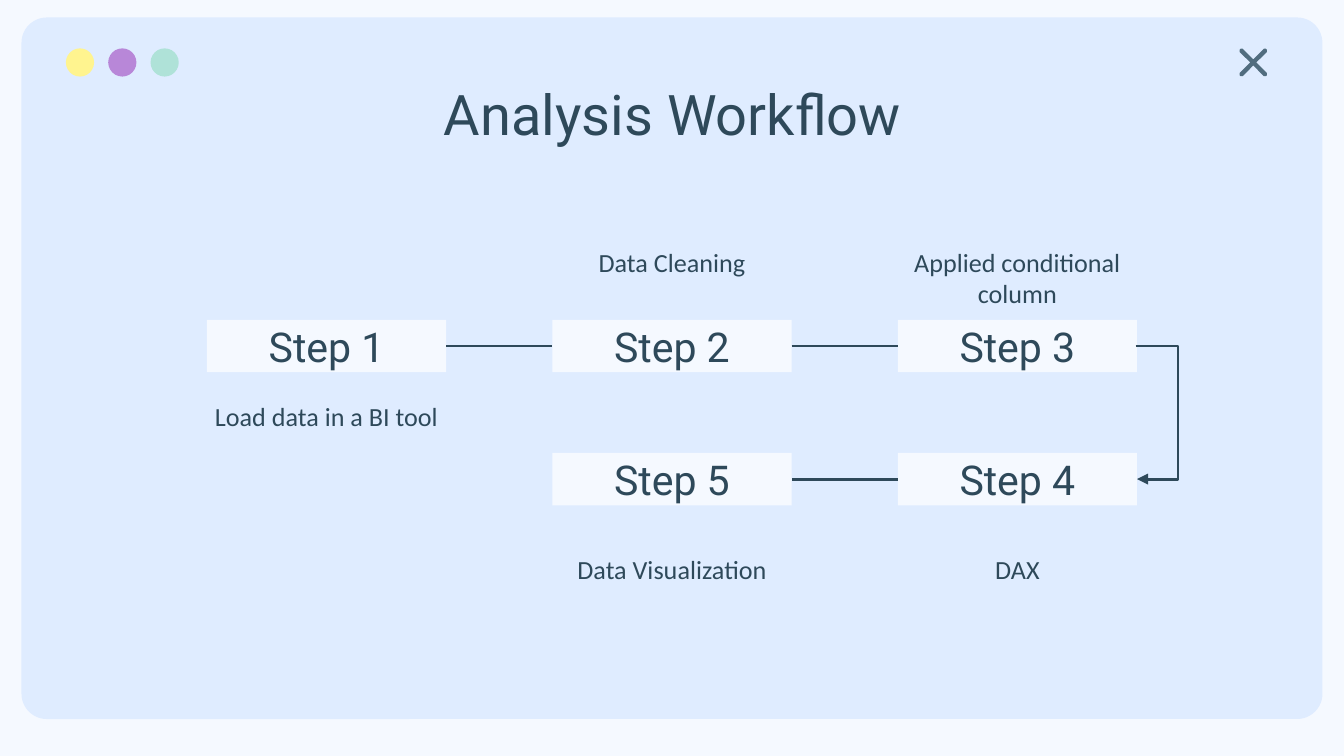
from dataclasses import dataclass

from lxml import etree
from pptx import Presentation
from pptx import util as u
from pptx.dml.color import RGBColor
from pptx.enum import shapes, text
from pptx.oxml.ns import qn


@dataclass(frozen=True)
class Theme:
    paper: str = "F5F9FF"
    panel: str = "DFECFF"
    ink: str = "2E495A"
    cross: str = "516D7F"
    dots: tuple = ("FFF48F", "B887D8", "AFE2D8")
    heading_font: str = "Roboto"
    body_font: str = "Calibri"
    title_size: int = 30
    step_size: int = 22
    caption_size: int = 14
    line_width: float = 1.5


theme = Theme()
KIND = shapes.MSO_SHAPE
ANCHOR = text.MSO_ANCHOR


def add_block(kind, left, top, width, height, color):
    """Add a filled, borderless shape measured in inches."""
    block = page.shapes.add_shape(kind, *map(u.Inches, (left, top, width, height)))
    block.shadow.inherit = False
    block.line.fill.background()
    block.fill.solid()
    block.fill.fore_color.rgb = RGBColor.from_string(color)
    return block


def write(box, words, font, size, anchor=ANCHOR.TOP):
    """Write one centred paragraph with even insets."""
    frame = box.text_frame
    frame.word_wrap = True
    frame.vertical_anchor = anchor
    frame.margin_left = frame.margin_right = u.Inches(0.1)
    frame.margin_top = frame.margin_bottom = u.Inches(0.1)
    para = frame.paragraphs[0]
    para.alignment = text.PP_ALIGN.CENTER
    span = para.add_run()
    span.text = words
    span.font.name = font
    span.font.size = u.Pt(size)
    span.font.color.rgb = RGBColor.from_string(theme.ink)


deck = Presentation()
deck.slide_width = u.Inches(10)
deck.slide_height = deck.slide_width * 9 // 16
page = deck.slides.add_slide(deck.slide_layouts[6])
page.background.fill.solid()
page.background.fill.fore_color.rgb = RGBColor.from_string(theme.paper)

# Window frame
panel = add_block(KIND.ROUNDED_RECTANGLE, 0.16, 0.13, 9.68, 5.22, theme.panel)
panel.adjustments[0] = 0.036
for index, color in enumerate(theme.dots):
    add_block(KIND.OVAL, 0.49 + index * 0.315, 0.36, 0.21, 0.21, color)
cross = add_block(KIND.MATH_MULTIPLY, 9.15, 0.29, 0.35, 0.35, theme.cross)
cross.adjustments[0] = 0.031
cross.line.color.rgb = RGBColor.from_string(theme.cross)
cross.line.width = u.Pt(theme.line_width)

title = page.shapes.add_textbox(*map(u.Inches, (0.79, 0.49, 8.43, 0.63)))
write(title, "Analysis Workflow", theme.heading_font, theme.title_size)

# Steps: grid column, grid row, caption offset from the step's top, caption
GRID_LEFT, GRID_TOP = 1.54, 2.38
COLUMN, ROW = 2.57, 0.99
STEP_WIDTH, STEP_HEIGHT = 1.78, 0.39
CAPTION_WIDTH, CAPTION_HEIGHT = 2.17, 0.56
steps = [
    (0, 0, 0.5, "Load data in a BI tool"),
    (1, 0, -0.65, "Data Cleaning"),
    (2, 0, -0.65, "Applied conditional column"),
    (2, 1, 0.65, "DAX"),
    (1, 1, 0.65, "Data Visualization"),
]
boxes = []
for number, (column, row, offset, caption) in enumerate(steps, 1):
    left, top = GRID_LEFT + column * COLUMN, GRID_TOP + row * ROW
    box = add_block(KIND.RECTANGLE, left, top, STEP_WIDTH, STEP_HEIGHT, theme.paper)
    write(box, f"Step {number}", theme.heading_font, theme.step_size, ANCHOR.MIDDLE)
    boxes.append(box)
    label = page.shapes.add_textbox(
        u.Inches(left - (CAPTION_WIDTH - STEP_WIDTH) / 2), u.Inches(top + offset),
        u.Inches(CAPTION_WIDTH), u.Inches(CAPTION_HEIGHT))
    write(label, caption, theme.body_font, theme.caption_size)

# Links between neighbouring steps
LINK = shapes.MSO_CONNECTOR
RIGHT, LEFT = 3, 1
links = []
for start, end, start_side, end_side in [
    (0, 1, RIGHT, LEFT), (1, 2, RIGHT, LEFT), (3, 4, LEFT, RIGHT),
]:
    link = page.shapes.add_connector(LINK.STRAIGHT, 0, 0, 0, 0)
    link.begin_connect(boxes[start], start_side)
    link.end_connect(boxes[end], end_side)
    links.append(link)

# The turn spans 0.01 inch, so its bend is set as a multiple of that width
TURN_SPAN, TURN_REACH = 0.01, 0.32
turn_left = GRID_LEFT + 2 * COLUMN + STEP_WIDTH - TURN_SPAN
turn_top = GRID_TOP + STEP_HEIGHT / 2
turn = page.shapes.add_connector(
    LINK.ELBOW, u.Inches(turn_left), u.Inches(turn_top),
    u.Inches(turn_left + TURN_SPAN), u.Inches(turn_top + ROW))
bend = etree.SubElement(
    turn._element.spPr.find(qn("a:prstGeom")).get_or_add_avLst(), qn("a:gd"))
bend.set("name", "adj1")
bend.set("fmla", f"val {round(TURN_REACH / TURN_SPAN * 100000)}")
links.append(turn)

for link in links:
    link.line.color.rgb = RGBColor.from_string(theme.ink)
    link.line.width = u.Pt(theme.line_width)
    etree.SubElement(link._element.spPr, qn("a:effectLst"))
etree.SubElement(turn.line._get_or_add_ln(), qn("a:tailEnd"), type="triangle")

deck.save("out.pptx")
